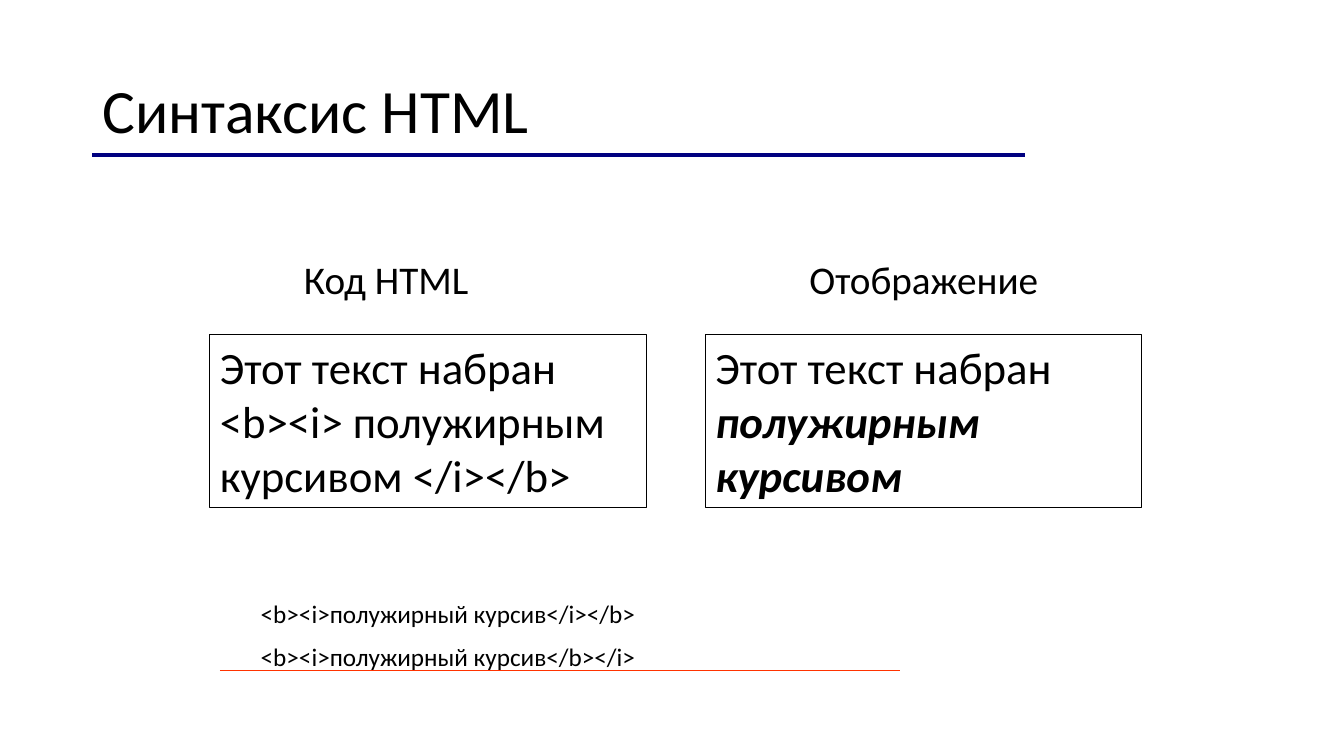
from dataclasses import dataclass

from lxml.etree import SubElement
from pptx import Presentation
from pptx.dml.color import RGBColor
from pptx.enum.shapes import MSO_CONNECTOR as Connector, MSO_SHAPE as Shape
from pptx.enum.text import MSO_ANCHOR as Anchor, PP_ALIGN as Align
from pptx.oxml.ns import qn
from pptx.util import Cm, Pt


@dataclass(frozen=True)
class Theme:
    font: str = "Calibri"
    ink: str = "000000"
    navy: str = "000080"
    red: str = "FF3300"
    title: int = 44
    body: int = 32
    heading: int = 28
    note: int = 18
    thin: float = 0.75
    thick: float = 3


class SlideBuilder:
    def __init__(self, page, theme):
        self.page = page
        self.theme = theme

    def fill_frame(self, frame, paragraphs, size, align=Align.LEFT, anchor=Anchor.TOP,
                   line_spacing=1.0, gap=0):
        """Fill a frame; each paragraph is a list of (text, emphasised) pairs."""
        frame.word_wrap = True
        frame.vertical_anchor = anchor
        for index, spans in enumerate(paragraphs):
            para = frame.add_paragraph() if index else frame.paragraphs[0]
            para.alignment = align
            para.line_spacing = line_spacing
            para.space_before = Pt(gap if index else 0)
            for text, emphasised in spans:
                span = para.add_run()
                span.text = text
                font = span.font
                font.name, font.size = self.theme.font, Pt(size)
                font.bold = font.italic = emphasised
                font.color.rgb = RGBColor.from_string(self.theme.ink)

    def text(self, left, top, width, height, paragraphs, size, **text_format):
        box = self.page.shapes.add_textbox(Cm(left), Cm(top), Cm(width), Cm(height))
        self.fill_frame(box.text_frame, paragraphs, size, **text_format)

    def framed_text(self, left, top, width, height, paragraphs, size, **text_format):
        box = self.page.shapes.add_shape(
            Shape.RECTANGLE, Cm(left), Cm(top), Cm(width), Cm(height))
        box.shadow.inherit = False
        box.fill.background()
        box.line.color.rgb = RGBColor.from_string(self.theme.ink)
        box.line.width = Pt(self.theme.thin)
        self.fill_frame(box.text_frame, paragraphs, size, **text_format)

    def rule(self, left, top, width, color, weight):
        line = self.page.shapes.add_connector(
            Connector.STRAIGHT, Cm(left), Cm(top), Cm(left + width), Cm(top))
        line.line.color.rgb = RGBColor.from_string(color)
        line.line.width = Pt(weight)
        SubElement(line._element.spPr, qn("a:effectLst"))


def main():
    deck = Presentation()
    deck.slide_width, deck.slide_height = Cm(33.87), Cm(19.05)
    theme = Theme()
    page = deck.slides.add_slide(deck.slide_layouts[6])
    builder = SlideBuilder(page, theme)

    builder.text(2.33, 1.01, 29.21, 3.68, [[("Синтаксис HTML", False)]],
                 theme.title, anchor=Anchor.MIDDLE, line_spacing=0.9)

    column_width = 11
    columns = [
        ("Код HTML", 4.23, 5.29,
         [("Этот текст набран <b><i> полужирным курсивом </i></b>", False)]),
        ("Отображение", 17.78, 17.78,
         [("Этот текст набран ", False), ("полужирным курсивом", True)]),
    ]
    for heading, heading_left, box_left, sample in columns:
        builder.framed_text(box_left, 8.44, column_width, 4.36, [sample], theme.body)
        builder.text(heading_left, 6.3, column_width, 1.44, [[(heading, False)]],
                     theme.heading, align=Align.CENTER)

    nesting_examples = ["<b><i>полужирный курсив</i></b>",
                        "<b><i>полужирный курсив</b></i>"]
    builder.text(6.32, 15.11, 22.02, 2.06,
                 [[(example, False)] for example in nesting_examples],
                 theme.note, line_spacing=0.8, gap=13)

    builder.rule(5.54, 16.9, 17.15, theme.red, theme.thin)
    builder.rule(2.33, 3.9, 23.5, theme.navy, theme.thick)
    deck.save("out.pptx")


if __name__ == "__main__":
    main()
